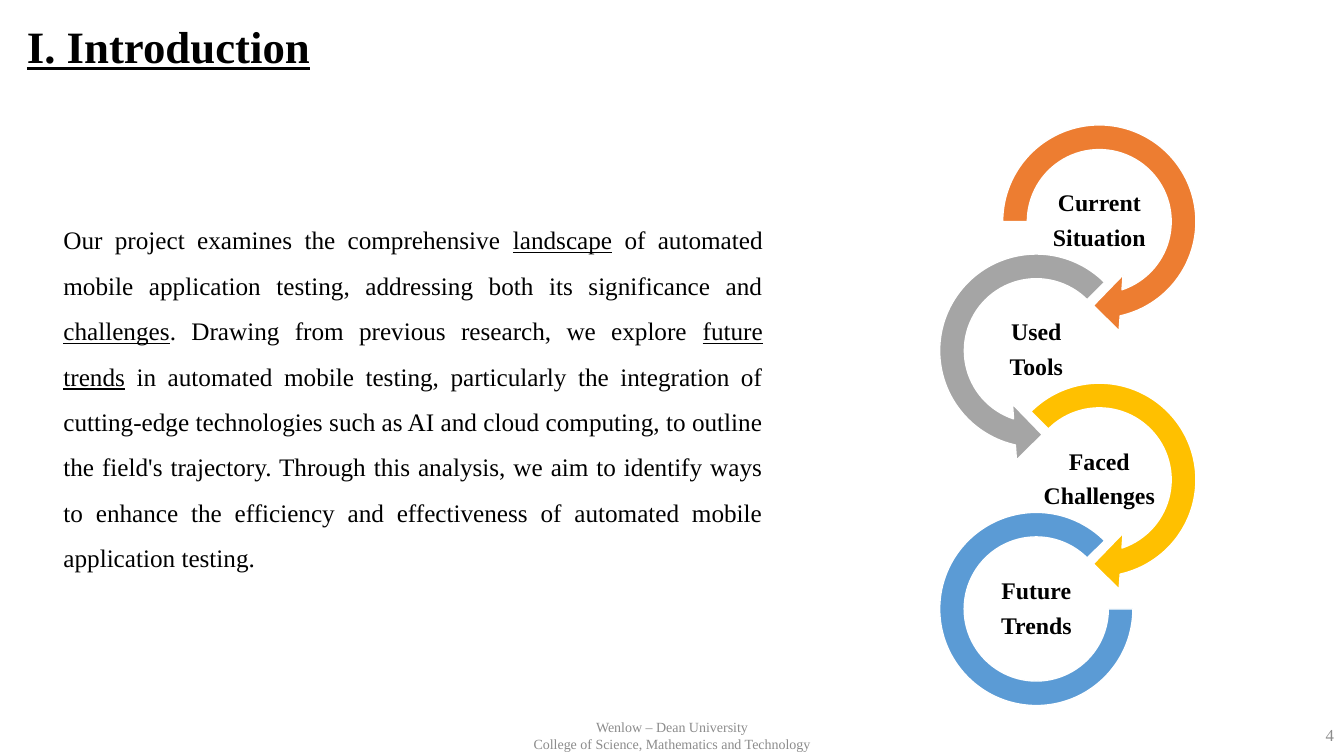
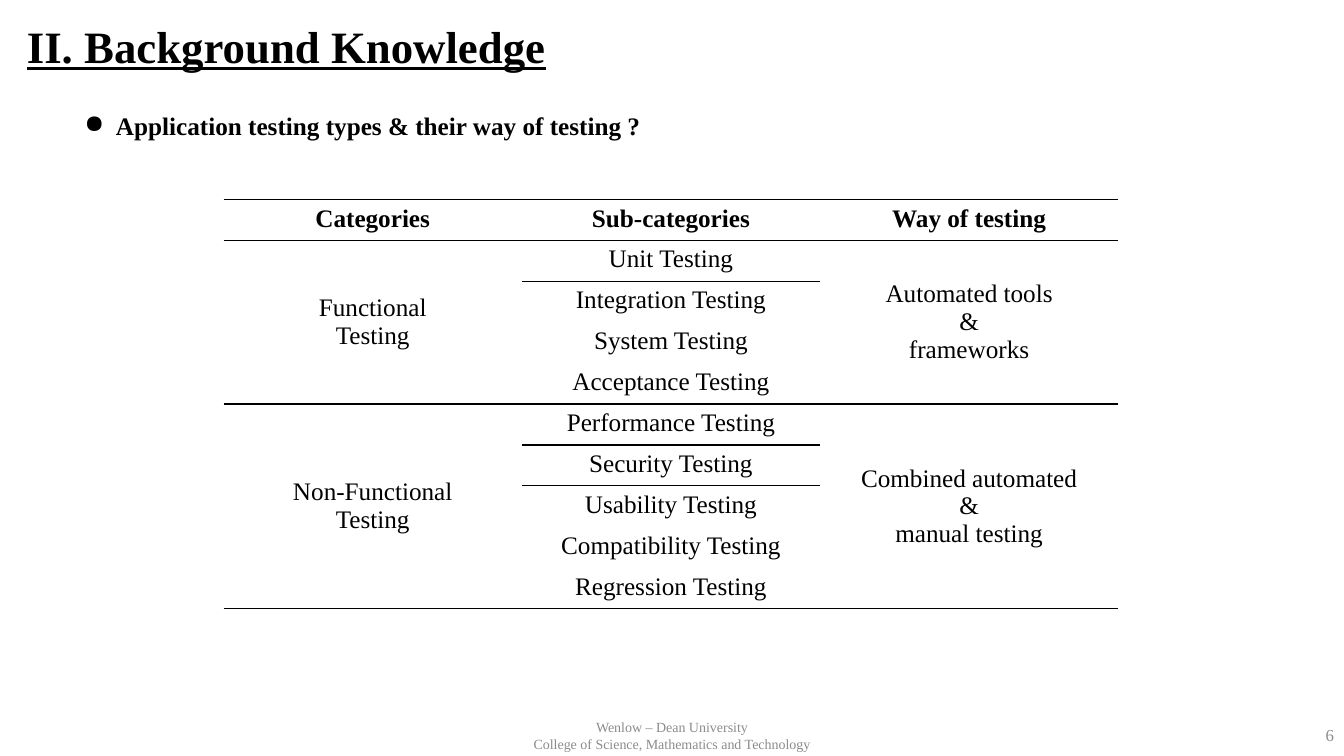
"""Build two slides on automated mobile application testing."""
import lxml.etree
import pptx
import pptx.dml.color
import pptx.enum.shapes
import pptx.enum.text
import pptx.oxml.ns
import pptx.util

PX = 9525
FONT = "Times New Roman"
BLACK = pptx.dml.color.RGBColor(0x00, 0x00, 0x00)
WHITE = pptx.dml.color.RGBColor(0xFF, 0xFF, 0xFF)
FOOTER_GREY = pptx.dml.color.RGBColor(0x8C, 0x8C, 0x8C)
ORANGE = pptx.dml.color.RGBColor(0xED, 0x7D, 0x31)
GREY = pptx.dml.color.RGBColor(0xA5, 0xA5, 0xA5)
YELLOW = pptx.dml.color.RGBColor(0xFF, 0xC0, 0x00)
BLUE = pptx.dml.color.RGBColor(0x5B, 0x9B, 0xD5)

SHAPE = pptx.enum.shapes.MSO_SHAPE
ALIGN = pptx.enum.text.PP_ALIGN
ANCHOR = pptx.enum.text.MSO_ANCHOR

PLAIN_TABLE_STYLE = "{2D5ABB26-0587-4C30-8999-92F81FD0307C}"
TITLE_ONLY = 5
FOOTER = ["Wenlow – Dean University", "College of Science, Mathematics and Technology"]

INTRODUCTION = [
    ("Our project examines the comprehensive ", False),
    ("landscape", True),
    (" of automated mobile application testing, addressing both its significance and ", False),
    ("challenges", True),
    (". Drawing from previous research, we explore ", False),
    ("future trends", True),
    (" in automated mobile testing, particularly the integration of cutting-edge "
     "technologies such as AI and cloud computing, to outline the field's trajectory. "
     "Through this analysis, we aim to identify ways to enhance the efficiency and "
     "effectiveness of automated mobile application testing.", False),
]

STAGES = [
    (["Current", "Situation"], SHAPE.CIRCULAR_ARROW, 940, 214, ORANGE,
     [0.11, 11.423, 45, 108, 0.125]),
    (["Used", "Tools"], SHAPE.LEFT_CIRCULAR_ARROW, 880, 214, GREY,
     [0.11, 11.423, 63, 189, 0.125]),
    (["Faced", "Challenges"], SHAPE.CIRCULAR_ARROW, 940, 214, YELLOW,
     [0.11, 11.423, 45, 135, 0.125]),
    (["Future", "Trends"], SHAPE.BLOCK_ARC, 880, 184, BLUE, [0, 189, 0.127]),
]
STAGE_TOP, STAGE_PITCH, STAGE_SIZE = 104, 123, 214
LABEL_WIDTH, LABEL_HEIGHT = 120, 60

HEADINGS = ["Categories", "Sub-categories", "Way of testing"]
TEST_GROUPS = [
    (["Functional", "Testing"],
     ["Unit Testing", "Integration Testing", "System Testing", "Acceptance Testing"],
     ["Automated tools", "&", "frameworks"]),
    (["Non-Functional", "Testing"],
     ["Performance Testing", "Security Testing", "Usability Testing",
      "Compatibility Testing", "Regression Testing"],
     ["Combined automated", "&", "manual testing"]),
]
COLUMN_WIDTH, ROW_HEIGHT = 284, 39


def px(*lengths):
    """Turn whole px lengths into EMU."""
    return [pptx.util.Emu(length * PX) for length in lengths]


def add_run(paragraph, text, size, color=BLACK, bold=False, underline=False):
    """Add one formatted run to a paragraph."""
    run = paragraph.add_run()
    run.text = text
    run.font.name = FONT
    run.font.size = pptx.util.Pt(size)
    run.font.color.rgb = color
    run.font.bold = bold
    run.font.underline = underline


def write_lines(frame, lines, size, align=ALIGN.CENTER, **style):
    """Write one paragraph for each line of text."""
    for index, line in enumerate(lines):
        paragraph = frame.add_paragraph() if index else frame.paragraphs[0]
        paragraph.alignment = align
        add_run(paragraph, line, size, **style)


def add_frame(slide, left, top, width, height, anchor=ANCHOR.TOP):
    """Add a wrapping text box and return its text frame."""
    frame = slide.shapes.add_textbox(*px(left, top, width, height)).text_frame
    frame.word_wrap = True
    frame.vertical_anchor = anchor
    return frame


def add_titled_slide(deck, title, number):
    """Add a slide with its title, footer and page number."""
    slide = deck.slides.add_slide(deck.slide_layouts[TITLE_ONLY])
    heading = slide.shapes.title
    heading.left, heading.top, heading.width, heading.height = px(16, 19, 804, 45)
    frame = heading.text_frame
    frame.auto_size = pptx.enum.text.MSO_AUTO_SIZE.NONE
    frame.vertical_anchor = ANCHOR.TOP
    write_lines(frame, [title], 32, ALIGN.LEFT, bold=True, underline=True)
    frame.paragraphs[0].line_spacing = 0.9

    footer = add_frame(slide, 424, 681, 432, 38, ANCHOR.MIDDLE)
    write_lines(footer, FOOTER, 10, color=FOOTER_GREY)
    page = add_frame(slide, 992, 681, 288, 38, ANCHOR.MIDDLE)
    write_lines(page, [str(number)], 12, ALIGN.RIGHT, color=FOOTER_GREY)
    return slide


def add_introduction(slide):
    """Add the justified paragraph with underlined key terms."""
    paragraph = add_frame(slide, 51, 195, 685, 353).paragraphs[0]
    paragraph.alignment = ALIGN.JUSTIFY
    paragraph.line_spacing = 1.5
    for text, underline in INTRODUCTION:
        add_run(paragraph, text, 18, underline=underline)


def add_stage(slide, index, lines, outline, left, size, color, adjustments):
    """Add one curved band of the chain and its label."""
    top = STAGE_TOP + index * STAGE_PITCH
    inset = (STAGE_SIZE - size) // 2
    band = slide.shapes.add_shape(outline, *px(left + inset, top + inset, size, size))
    band.shadow.inherit = False
    band.fill.solid()
    band.fill.fore_color.rgb = color
    band.line.color.rgb = WHITE
    band.line.width = pptx.util.Pt(1)
    for position, value in enumerate(adjustments):
        band.adjustments[position] = value

    label_left = left + (STAGE_SIZE - LABEL_WIDTH) // 2
    label_top = top + (STAGE_SIZE - LABEL_HEIGHT) // 2
    label = add_frame(slide, label_left, label_top, LABEL_WIDTH, LABEL_HEIGHT, ANCHOR.MIDDLE)
    label.margin_left, label.margin_top, label.margin_right, label.margin_bottom = px(1, 1, 1, 1)
    write_lines(label, lines, 17, bold=True)
    for paragraph in label.paragraphs:
        paragraph.line_spacing = 0.9
        paragraph.space_after = pptx.util.Pt(6.5)


def add_bullet(slide, text):
    """Add the bold bulleted question above the table."""
    frame = add_frame(slide, 71, 100, 640, 38)
    write_lines(frame, [text], 18, ALIGN.LEFT, bold=True)
    properties = frame.paragraphs[0]._p.get_or_add_pPr()
    indent = px(30)[0]
    properties.set("marL", str(indent))
    properties.set("indent", str(-indent))
    bullet = lxml.etree.SubElement(properties, pptx.oxml.ns.qn("a:buChar"))
    bullet.set("char", "●")


def rule_cell(cell, side):
    """Draw a thin black rule on one side of a cell."""
    qn = pptx.oxml.ns.qn
    rule = lxml.etree.Element(qn("a:" + side), w=str(pptx.util.Pt(1)))
    fill = lxml.etree.SubElement(rule, qn("a:solidFill"))
    lxml.etree.SubElement(fill, qn("a:srgbClr"), val=str(BLACK))
    cell._tc.get_or_add_tcPr().insert(0, rule)


def fill_group(table, top, category, kinds, way):
    """Write a group of test kinds between two merged cells."""
    bottom = top + len(kinds) - 1
    for column, lines in ((0, category), (2, way)):
        cell = table.cell(top, column)
        cell.merge(table.cell(bottom, column))
        cell.vertical_anchor = ANCHOR.MIDDLE
        write_lines(cell.text_frame, lines, 18)
    for row, kind in enumerate(kinds, top):
        write_lines(table.cell(row, 1).text_frame, [kind], 18)


def add_testing_table(slide):
    """Add the ruled table of test categories."""
    row_count = 1 + sum(len(kinds) for _, kinds, _ in TEST_GROUPS)
    frame = slide.shapes.add_table(
        row_count, len(HEADINGS),
        *px(213, 190, COLUMN_WIDTH * len(HEADINGS), ROW_HEIGHT * row_count))
    table = frame.table
    table.first_row = table.horz_banding = False
    table._tbl.tblPr.find(pptx.oxml.ns.qn("a:tableStyleId")).text = PLAIN_TABLE_STYLE
    for row in table.rows:
        row.height = px(ROW_HEIGHT)[0]

    for column, heading in enumerate(HEADINGS):
        write_lines(table.cell(0, column).text_frame, [heading], 18, bold=True)
    ruled_edges = [0, 1]
    for group in TEST_GROUPS:
        fill_group(table, ruled_edges[-1], *group)
        ruled_edges.append(ruled_edges[-1] + len(group[1]))

    performance_edge = ruled_edges[2] + 1
    for row in range(row_count):
        for column in range(len(HEADINGS)):
            cell = table.cell(row, column)
            cell.fill.background()
            edges = ruled_edges + [performance_edge] * (column == 1)
            if row + cell.span_height in edges:
                rule_cell(cell, "lnB")
            if row in edges:
                rule_cell(cell, "lnT")


def main():
    """Build and save the deck."""
    deck = pptx.Presentation()
    deck.slide_width, deck.slide_height = px(1280, 720)

    introduction = add_titled_slide(deck, "I. Introduction", 4)
    add_introduction(introduction)
    for index, stage in enumerate(STAGES):
        add_stage(introduction, index, *stage)

    background = add_titled_slide(deck, "II. Background Knowledge", 6)
    add_testing_table(background)
    add_bullet(background, "Application testing types & their way of testing ?")

    deck.save("out.pptx")


if __name__ == "__main__":
    main()
